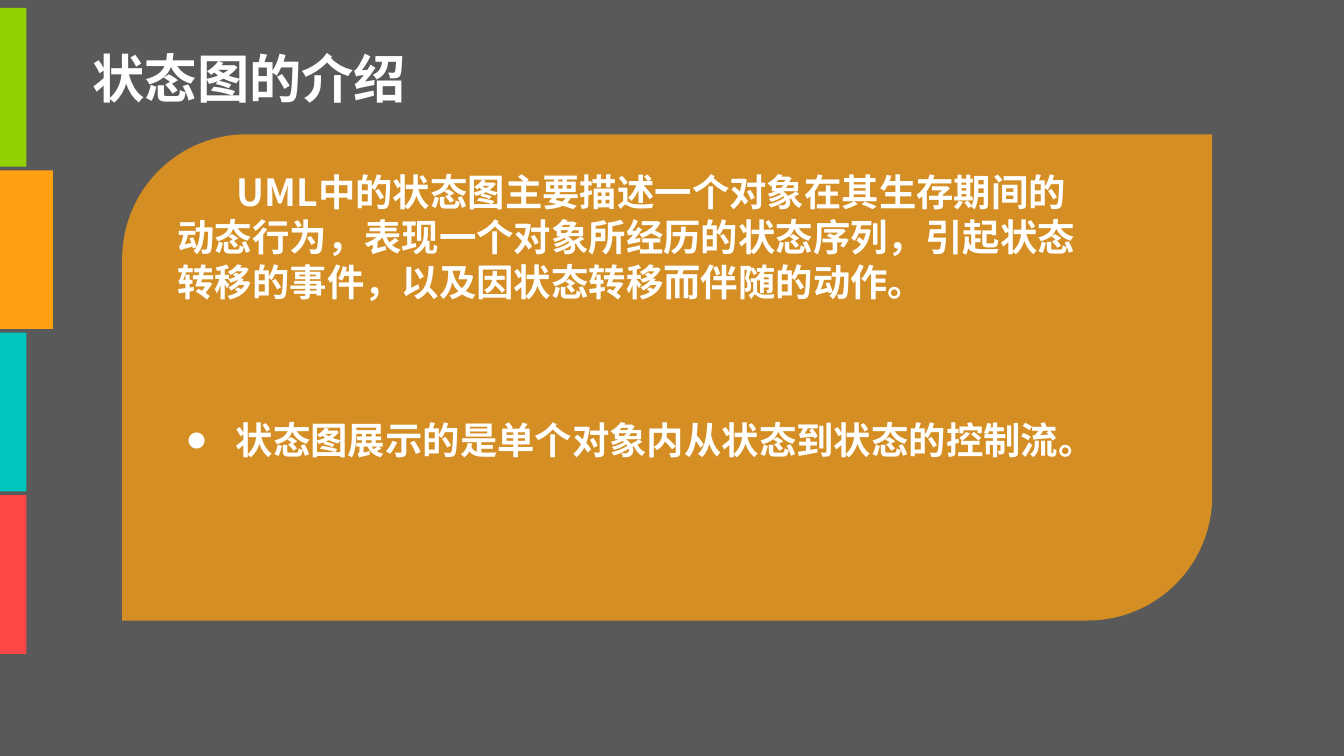
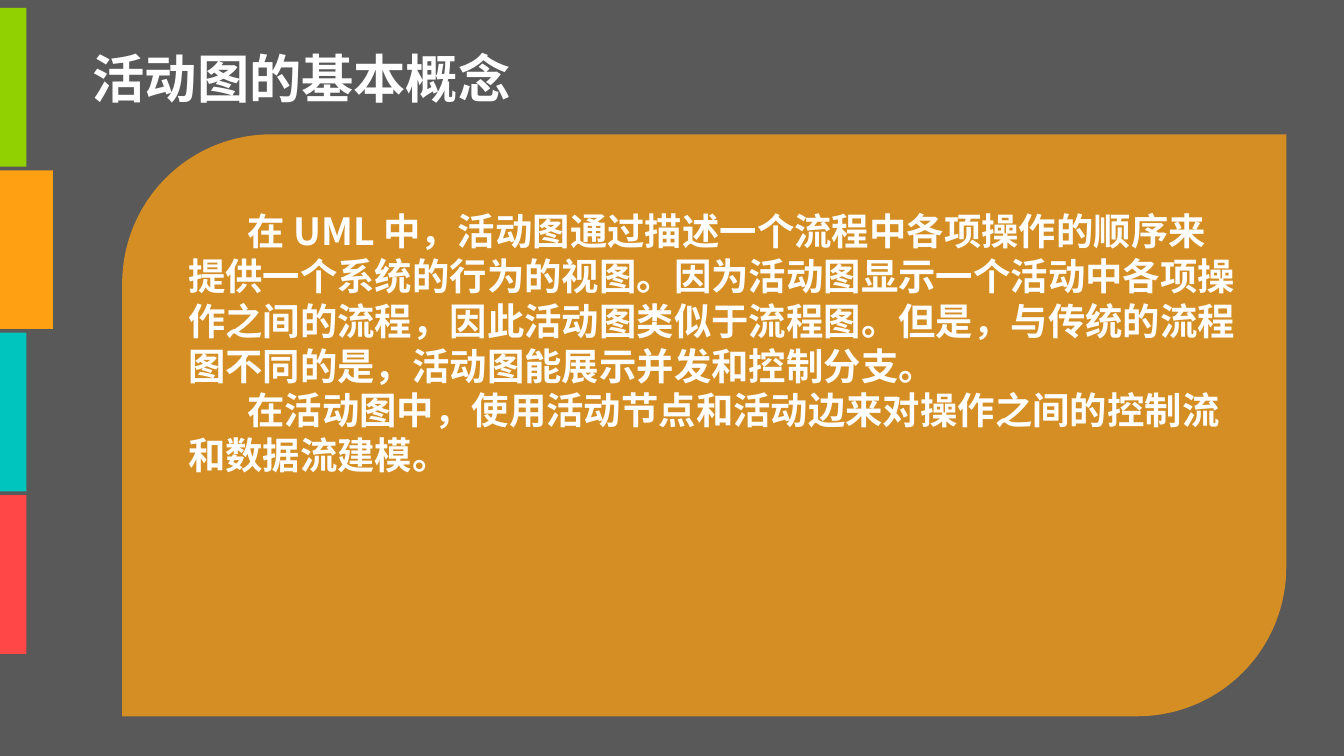
from lxml import etree
from pptx import Presentation
from pptx.dml.color import RGBColor
from pptx.enum.shapes import MSO_SHAPE
from pptx.enum.text import MSO_ANCHOR, MSO_AUTO_SIZE, PP_ALIGN
from pptx.oxml.ns import qn
from pptx.util import Cm, Pt

RECT = MSO_SHAPE.RECTANGLE
LEAF = MSO_SHAPE.ROUND_2_DIAG_RECTANGLE
TOP = MSO_ANCHOR.TOP
LEFT = PP_ALIGN.LEFT
FIXED = MSO_AUTO_SIZE.NONE

FONT = "Noto Sans CJK SC"
GREY, WHITE, ORANGE = "595959", "FFFFFF", "FFA013"
BANDS = [("91D101", 0.5), (ORANGE, 1.0), ("00C5BE", 0.5), ("FF4747", 0.5)]

# Title, title width, panel size, then text blocks: box, bullet, paragraphs
SLIDES = [
    ("状态图的介绍", 6.5, (20.6, 9.19), [
        ((3.1, 3.07, 17.91, 2.82), None, [
            "UML中的状态图主要描述一个对象在其生存期间的动态行为，"
            "表现一个对象所经历的状态序列，引起状态转移的事件，"
            "以及因状态转移而伴随的动作。"]),
        ((3.25, 7.75, 17.7, 1.12), "●", [
            "状态图展示的是单个对象内从状态到状态的控制流。"]),
    ]),
    ("活动图的基本概念", 8.48, (22, 11), [
        ((3.3, 3.81, 20.4, 6.25), None, [
            "在 UML 中，活动图通过描述一个流程中各项操作的顺序来提供一个系统的"
            "行为的视图。因为活动图显示一个活动中各项操作之间的流程，"
            "因此活动图类似于流程图。但是，与传统的流程图不同的是，"
            "活动图能展示并发和控制分支。",
            "在活动图中，使用活动节点和活动边来对操作之间的控制流和数据流建模。"]),
    ]),
]


def block(slide, kind, box, color, alpha=None):
    """Add a plain filled shape behind the slide's text."""
    shape = slide.shapes.add_shape(kind, *map(Cm, box))
    shape.shadow.inherit = False
    shape.fill.solid()
    shape.fill.fore_color.rgb = RGBColor.from_string(color)
    shape.line.fill.background()
    if alpha:
        tint = shape.element.spPr.find(qn("a:solidFill"))[0]
        etree.SubElement(tint, qn("a:alpha"), val=str(alpha * 1000))
    slide.shapes.title.element.addprevious(shape.element)
    return shape


def write(holder, box, lines, size=20, color=WHITE, bold=True,
          margin=0, indent=0, bullet=None, wrap=True):
    """Place a placeholder and fill it with formatted paragraphs."""
    holder.left, holder.top, holder.width, holder.height = map(Cm, box)
    frame = holder.text_frame
    frame.text = "\n".join(lines)
    frame.word_wrap = wrap
    frame.auto_size = FIXED
    frame.vertical_anchor = TOP
    for para in frame.paragraphs:
        para.alignment = LEFT
        para.line_spacing = 1.0
        para.space_before = Pt(0)
        props = para._p.get_or_add_pPr()
        props.set("marL", str(Cm(margin)))
        props.set("indent", str(Cm(indent)))
        if bullet:
            etree.SubElement(props, qn("a:buChar"), char=bullet)
        else:
            etree.SubElement(props, qn("a:buNone"))
        for run in para.runs:
            font = run.font
            font.name, font.size, font.bold = FONT, Pt(size), bold
            font.color.rgb = RGBColor.from_string(color)
            etree.SubElement(run._r.get_or_add_rPr(), qn("a:ea"), typeface=FONT)


deck = Presentation()
deck.slide_width, deck.slide_height = Cm(25.4), Cm(14.29)

# Shared grey background
back = deck.slide_master.background.fill
back.solid()
back.fore_color.rgb = RGBColor.from_string(GREY)

# Layouts with one or two body placeholders
layouts = {1: deck.slide_layouts[1], 2: deck.slide_layouts[3]}

for title, width, size, texts in SLIDES:
    slide = deck.slides.add_slide(layouts[len(texts)])

    # Panel
    panel = block(slide, LEAF, (2.31, 2.54, *size), ORANGE, alpha=75)
    panel.adjustments[0] = 0.256

    # Colour bands on the left edge
    for i, (color, wide) in enumerate(BANDS):
        block(slide, RECT, (0, 0.15 + i * 3.07, wide, 3), color)

    # Title
    write(slide.shapes.title, (1.5, 0.74, width, 1.45), [title],
          size=28, wrap=False)

    # Body text and lists
    bodies = list(slide.placeholders)[1:]
    for body, (box, bullet, lines) in zip(bodies, texts):
        if bullet:
            write(body, box, lines, bullet=bullet, margin=0.95, indent=-0.95)
        else:
            write(body, box, lines, indent=1.12)

deck.save("out.pptx")
